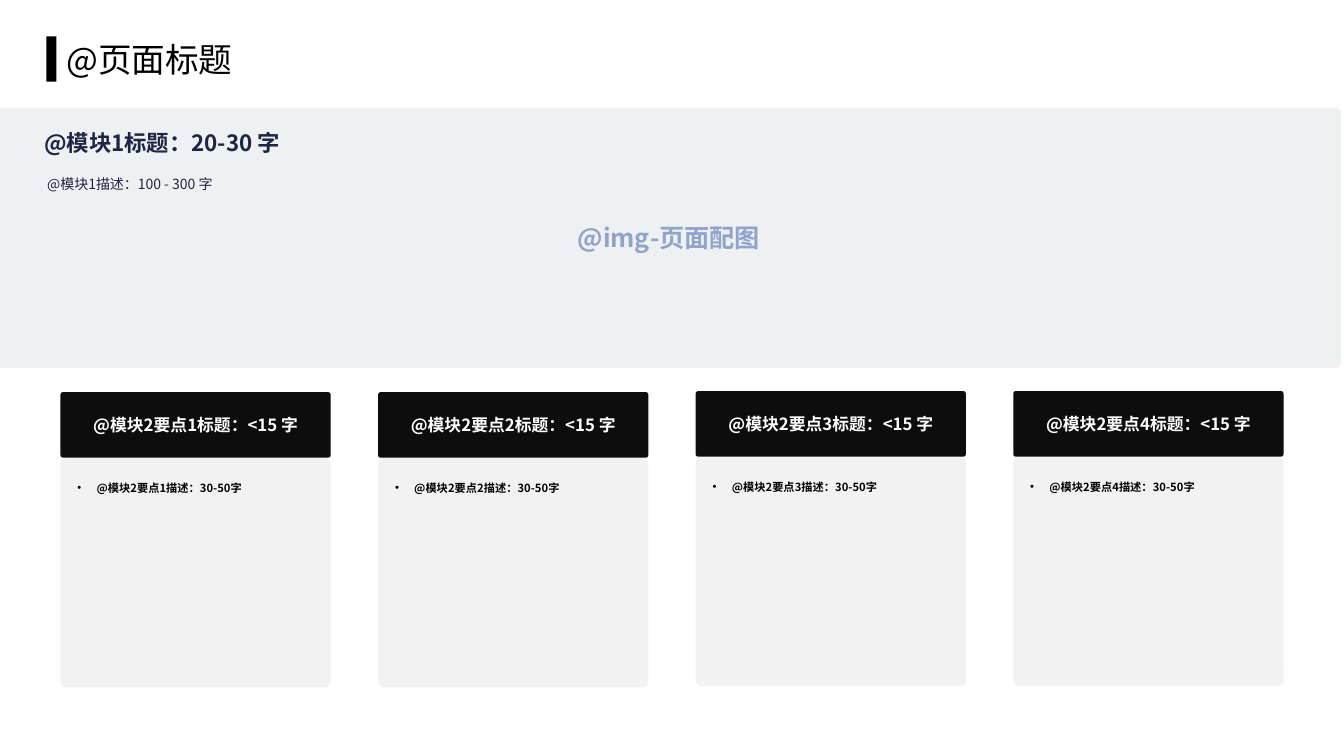
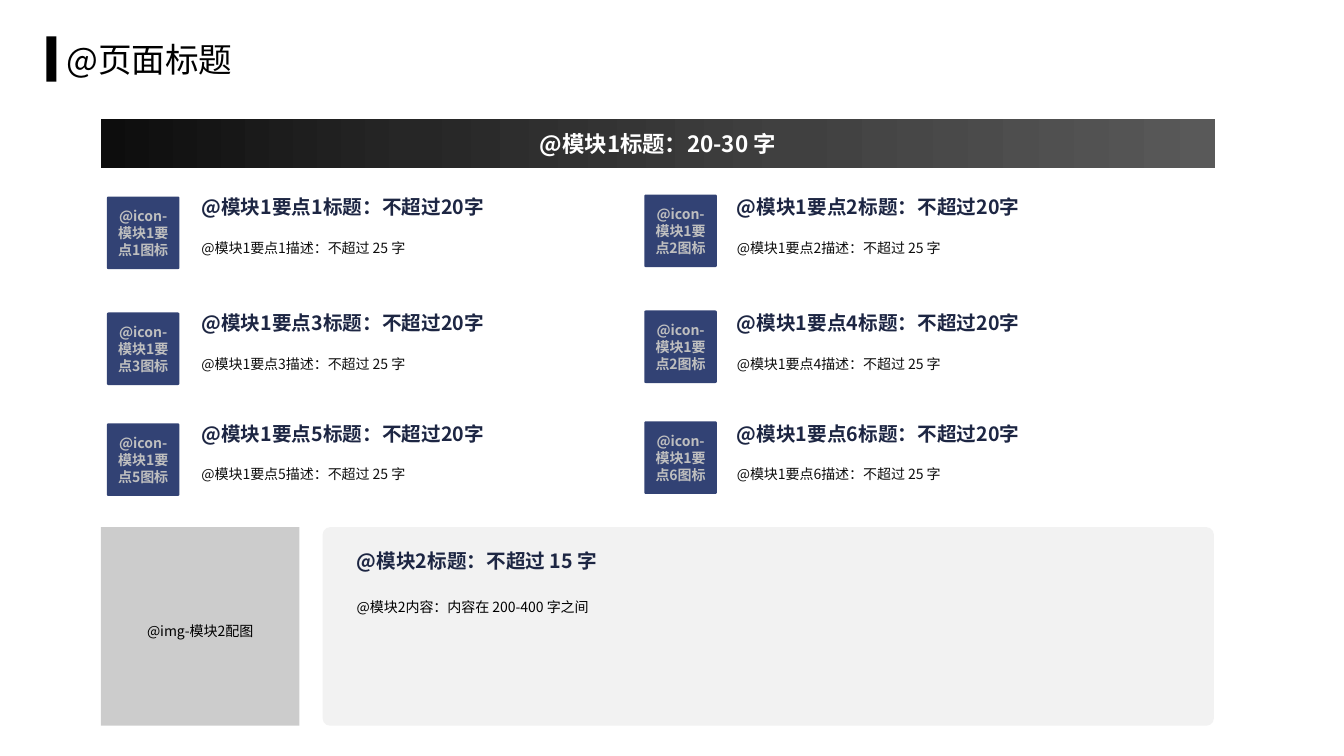
"""Build two template slides: a banner with four cards, and an icon grid with a summary panel."""
from lxml.etree import SubElement
from pptx import Presentation
from pptx.dml.color import RGBColor
from pptx.enum.lang import MSO_LANGUAGE_ID
from pptx.enum.shapes import MSO_SHAPE
from pptx.enum.text import MSO_ANCHOR, PP_ALIGN
from pptx.oxml.ns import qn
from pptx.util import Inches, Pt

FONT = "Noto Sans CJK SC"
BLACK, INK, NAVY, WHITE = "000000", "0D0D0D", "1D2643", "FFFFFF"
PANEL, ICON, SILVER = "F2F2F2", "324274", "BFBFBF"
BANNER, BLUE = "D6DCE5", "2E54A1"
GRADIENT = [(0, INK), (28, "262626"), (62, "404040"), (100, "595959")]
LEFT, CENTER = PP_ALIGN.LEFT, PP_ALIGN.CENTER
TOP, MIDDLE = MSO_ANCHOR.TOP, MSO_ANCHOR.MIDDLE


def add_box(s, x, y, w, h, fill=None, radius=0, alpha=100):
    """Add a filled box, rounded if it has a radius, or a text box if it has no fill."""
    at = [Inches(v) for v in (x, y, w, h)]
    if fill is None:
        return s.shapes.add_textbox(*at)
    kind = MSO_SHAPE.ROUNDED_RECTANGLE if radius else MSO_SHAPE.RECTANGLE
    sp = s.shapes.add_shape(kind, *at)
    if radius:
        sp.adjustments[0] = radius
    sp.shadow.inherit = False
    sp.line.fill.background()
    sp.fill.solid()
    sp.fill.fore_color.rgb = RGBColor.from_string(fill)
    if alpha < 100:
        color = sp.element.spPr.find(qn("a:solidFill"))[0]
        SubElement(color, qn("a:alpha"), val=str(alpha * 1000))
    return sp


def write(sp, text, size, color, bold=False, align=LEFT, anchor=MIDDLE, spacing=None):
    """Write one paragraph into a shape and return it."""
    tf = sp.text_frame
    tf.word_wrap = True
    tf.vertical_anchor = anchor
    p = tf.paragraphs[0]
    p.alignment = align
    if spacing:
        p.line_spacing = spacing
    r = p.add_run()
    r.text = text
    r.font.size = Pt(size)
    r.font.bold = bold
    r.font.color.rgb = RGBColor.from_string(color)
    r.font.name = FONT
    r.font.language_id = MSO_LANGUAGE_ID.SIMPLIFIED_CHINESE
    SubElement(r.font._element, qn("a:ea"), typeface=FONT)
    return p


prs = Presentation()
prs.slide_width, prs.slide_height = Inches(13.33), Inches(7.5)
for _ in range(2):
    s = prs.slides.add_slide(prs.slide_layouts[6])
    add_box(s, 0.46, 0.36, 0.1, 0.45, BLACK)
    write(add_box(s, 0.56, 0.28, 12.22, 0.61), "@页面标题", 24, BLACK)
cards, grid = prs.slides

sp = add_box(cards, -0.03, 1.07, 13.33, 2.58, BANNER, 0.022, 45)
write(sp, "@img-页面配图", 18, BLUE, True, CENTER)
add_box(cards, -0.03, 1.07, 13.33, 2.58, PANEL, 0.022, 50)
write(add_box(cards, 0.34, 1.23, 6.27, 0.36), "@模块1标题：20-30 字", 16, NAVY, True)
sp = add_box(cards, 0.37, 1.61, 7.03, 1.72)
write(sp, "@模块1描述：100 - 300 字", 10, NAVY, anchor=TOP, spacing=1.5)

for i, y in enumerate([3.89, 3.89, 3.88, 3.88]):
    x = 0.6 + 3.15 * i
    sp = add_box(cards, x, y + 0.65, 2.68, 2.28, PANEL, 0.027)
    tf = sp.text_frame
    tf.margin_left = tf.margin_right = tf.margin_top = tf.margin_bottom = Inches(0.15)
    p = write(sp, f"@模块2要点{i + 1}描述：30-50字", 8, BLACK, True, anchor=TOP, spacing=1.5)
    pPr = p._p.get_or_add_pPr()
    pPr.set("marL", str(Inches(0.19)))
    pPr.set("indent", str(-Inches(0.19)))
    SubElement(pPr, qn("a:buFont"), typeface="Arial")
    SubElement(pPr, qn("a:buChar"), char="•")
    sp = add_box(cards, x, y, 2.68, 0.65, INK, 0.038)
    write(sp, f"@模块2要点{i + 1}标题：<15 字", 12, WHITE, True, CENTER)

sp = add_box(grid, 1, 1.18, 11.05, 0.49, INK)
sp.fill.gradient()
sp.fill.gradient_angle = 0
stops = sp.element.spPr.find(qn("a:gradFill")).find(qn("a:gsLst"))
for stop in list(stops):
    stops.remove(stop)
for pos, color in GRADIENT:
    stop = SubElement(stops, qn("a:gs"), pos=str(pos * 1000))
    SubElement(stop, qn("a:srgbClr"), val=color)
write(sp, "@模块1标题：20-30 字", 16, WHITE, True, CENTER)

icon_numbers = [1, 2, 3, 2, 5, 6]
columns = [(1.06, 0.08, 1.9), (6.39, 0.06, 7.21)]
for row, y in enumerate([1.87, 3.02, 4.12]):
    for col, (icon_x, icon_dy, text_x) in enumerate(columns):
        i = 2 * row + col
        sp = add_box(grid, icon_x, y + icon_dy, 0.72, 0.72, ICON, 0.022)
        write(sp, f"@icon-模块1要点{icon_numbers[i]}图标", 10, SILVER, True, CENTER)
        sp = add_box(grid, text_x, y, 4.04, 0.36)
        write(sp, f"@模块1要点{i + 1}标题：不超过20字", 14, NAVY, True)
        sp = add_box(grid, text_x, y + 0.37, 4.04, 0.53)
        write(sp, f"@模块1要点{i + 1}描述：不超过 25 字", 10, INK, anchor=TOP, spacing=1.5)

sp = add_box(grid, 1, 5.23, 1.97, 1.97, BLACK, alpha=20)
write(sp, "@img-模块2配图", 10, BLACK, align=CENTER, spacing=1.5)
add_box(grid, 3.2, 5.23, 8.84, 1.97, PANEL, 0.038)
write(add_box(grid, 3.44, 5.34, 8.26, 0.45), "@模块2标题：不超过 15 字", 14, NAVY, True)
sp = add_box(grid, 3.44, 5.81, 8.4, 1.24)
write(sp, "@模块2内容：内容在 200-400 字之间", 10, BLACK, anchor=TOP, spacing=1.5)

prs.save("out.pptx")
